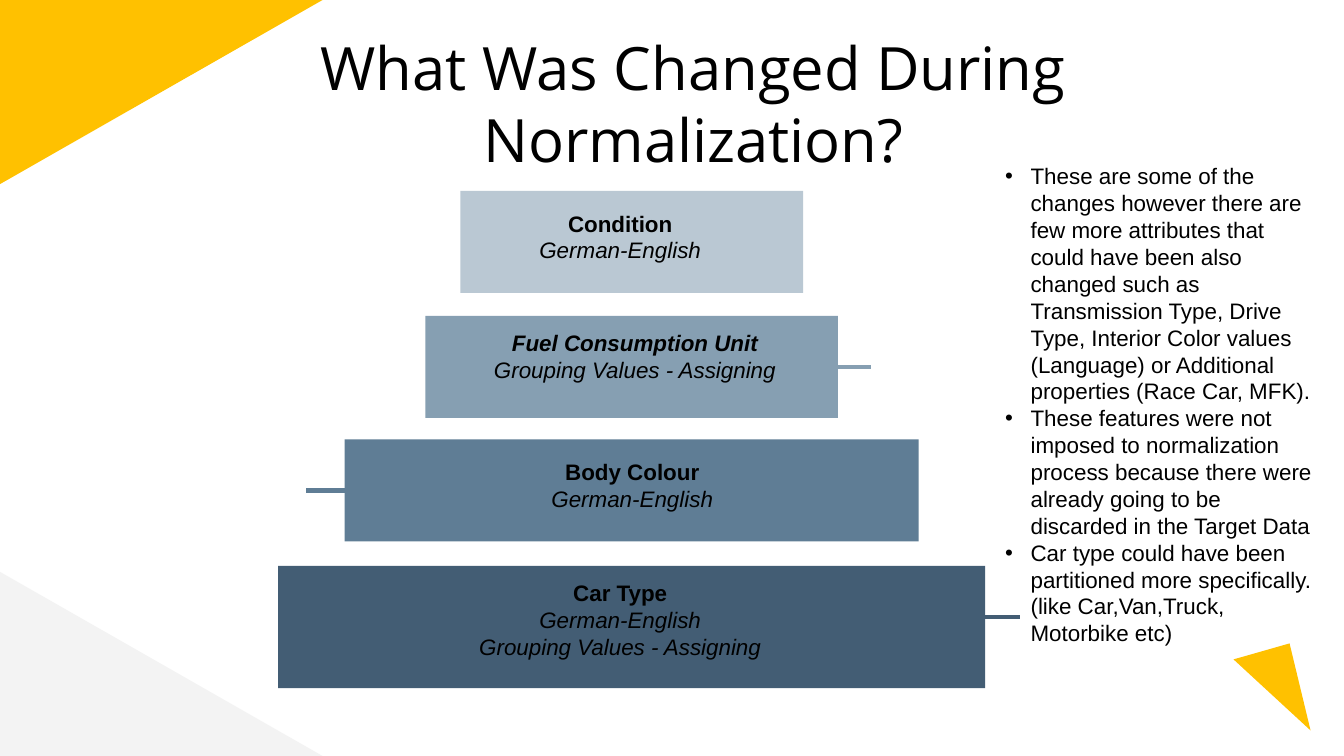
from lxml import etree
from pptx import Presentation
from pptx.dml.color import RGBColor
from pptx.enum.shapes import MSO_CONNECTOR, MSO_SHAPE
from pptx.enum.text import MSO_ANCHOR, MSO_AUTO_SIZE, PP_ALIGN
from pptx.oxml.ns import qn
from pptx.util import Inches, Pt

YELLOW = RGBColor(0xFF, 0xC1, 0x00)
GREY = RGBColor(0xF3, 0xF3, 0xF3)
BLACK = RGBColor(0x00, 0x00, 0x00)
ICE = RGBColor(0xBA, 0xC8, 0xD3)
MIST = RGBColor(0x86, 0x9F, 0xB2)
STEEL = RGBColor(0x5F, 0x7D, 0x95)
NAVY = RGBColor(0x43, 0x5D, 0x74)

SLIDE_WIDTH = 10
SLIDE_HEIGHT = SLIDE_WIDTH * 9 / 16
CORNER_WIDTH, CORNER_HEIGHT = 2.4, 1.37
BODY = {"name": "Arial", "size": Pt(12)}
HEADING = {"name": "Open Sans", "size": Pt(32)}
CENTER_X, TICK_DROP = 4.7, 0.38
LABEL_WIDTH, LABEL_HEIGHT = 2.55, 0.84

GROUPING = "Grouping Values - Assigning"
TRANSLATION = "German-English"
TIERS = [
    {"top": 1.42, "width": 2.55, "height": 0.76, "color": ICE, "tick": None,
     "label": (3.34, 2.06), "lines": ["Condition", TRANSLATION], "slanted": False},
    {"top": 2.35, "width": 3.07, "height": 0.76, "color": MIST, "tick": (5.89, 6.48),
     "label": (3.45, 2.95), "lines": ["Fuel Consumption Unit", GROUPING], "slanted": True},
    {"top": 3.27, "width": 4.27, "height": 0.76, "color": STEEL, "tick": (2.28, 2.88),
     "label": (3.43, 3.91), "lines": ["Body Colour", TRANSLATION], "slanted": False},
    {"top": 4.21, "width": 5.26, "height": 0.91, "color": NAVY, "tick": (6.99, 7.59),
     "label": (3.34, 5.01), "lines": ["Car Type", TRANSLATION, GROUPING], "slanted": False},
]
NOTES = [
    "These are some of the changes however there are few more attributes that could "
    "have been also changed such as Transmission Type, Drive Type, Interior Color values "
    "(Language) or Additional properties (Race Car, MFK).",
    "These features were not imposed to normalization process because there were already "
    "going to be discarded in the Target Data",
    "Car type could have been partitioned more specifically. "
    "(like Car,Van,Truck, Motorbike etc)",
]


def add_block(s, kind, box, color, rotation=0):
    sp = s.shapes.add_shape(kind, *map(Inches, box))
    sp.shadow.inherit = False
    sp.fill.solid()
    sp.fill.fore_color.rgb = color
    sp.line.fill.background()
    sp.rotation = rotation
    return sp


def add_tick(s, x1, x2, y, color):
    line = s.shapes.add_connector(
        MSO_CONNECTOR.STRAIGHT, Inches(x1), Inches(y), Inches(x2), Inches(y))
    line.line.color.rgb = color
    line.line.width = Pt(2.25)
    etree.SubElement(line._element.spPr, qn("a:effectLst"))


def set_frame(tf, anchor):
    values = {"word_wrap": True, "auto_size": MSO_AUTO_SIZE.NONE, "vertical_anchor": anchor}
    values.update({f"margin_{side}": Inches(0.1) for side in ("left", "right", "top", "bottom")})
    for key, value in values.items():
        setattr(tf, key, value)


def write_line(p, text, font, align):
    p.alignment = align
    r = p.add_run()
    r.text = text
    for key, value in font.items():
        setattr(r.font, key, value)
    r.font.color.rgb = BLACK


def add_text(s, box, lines, fonts, align, anchor):
    tf = s.shapes.add_textbox(*map(Inches, box)).text_frame
    set_frame(tf, anchor)
    for i, (text, font) in enumerate(zip(lines, fonts)):
        p = tf.add_paragraph() if i else tf.paragraphs[0]
        write_line(p, text, font, align)
    return tf


def add_bullet(p):
    pPr = p._p.get_or_add_pPr()
    pPr.set("marL", str(Inches(0.19)))
    pPr.set("indent", str(-Inches(0.19)))
    etree.SubElement(pPr, qn("a:buFont"), typeface="Arial")
    etree.SubElement(pPr, qn("a:buChar"), char="•")


def add_tier(s, tier):
    box = (CENTER_X - tier["width"] / 2, tier["top"], tier["width"], tier["height"])
    add_block(s, MSO_SHAPE.RECTANGLE, box, tier["color"])
    if tier["tick"]:
        add_tick(s, *tier["tick"], tier["top"] + TICK_DROP, tier["color"])


def add_label(s, tier):
    left, bottom = tier["label"]
    head = {**BODY, "bold": True, "italic": tier["slanted"]}
    detail = {**BODY, "italic": True}
    add_text(s, (left, bottom - LABEL_HEIGHT, LABEL_WIDTH, LABEL_HEIGHT), tier["lines"],
             [head, detail, detail], PP_ALIGN.CENTER, MSO_ANCHOR.BOTTOM)


def add_title(s, text):
    sp = s.shapes.title
    sp.left, sp.top, sp.width, sp.height = map(Inches, (1.4, 0.13, 7.52, 0.63))
    set_frame(sp.text_frame, MSO_ANCHOR.TOP)
    write_line(sp.text_frame.paragraphs[0], text, HEADING, PP_ALIGN.CENTER)


def add_corners(s):
    corner = (CORNER_WIDTH, CORNER_HEIGHT)
    sp = add_block(s, MSO_SHAPE.RIGHT_TRIANGLE, (0, 0, *corner), YELLOW, 180)
    sp._element.spPr.find(qn("a:xfrm")).set("flipH", "1")
    add_block(s, MSO_SHAPE.RIGHT_TRIANGLE, (0, SLIDE_HEIGHT - CORNER_HEIGHT, *corner), GREY)
    sp = add_block(s, MSO_SHAPE.ISOSCELES_TRIANGLE, (9.2, 4.85, 0.78, 0.37), YELLOW, 42.7)
    sp.adjustments[0] = 0.29


def main():
    prs = Presentation()
    prs.slide_width, prs.slide_height = Inches(SLIDE_WIDTH), Inches(SLIDE_HEIGHT)
    s = prs.slides.add_slide(prs.slide_layouts[5])
    add_corners(s)
    for tier in reversed(TIERS):
        add_tier(s, tier)
    for tier in TIERS:
        add_label(s, tier)
    add_title(s, "What Was Changed During Normalization?")
    tf = add_text(s, (7.38, 1.11, 2.53, 3.84), NOTES, [BODY] * len(NOTES),
                  PP_ALIGN.LEFT, MSO_ANCHOR.TOP)
    for p in tf.paragraphs:
        add_bullet(p)
    prs.save("out.pptx")


main()
